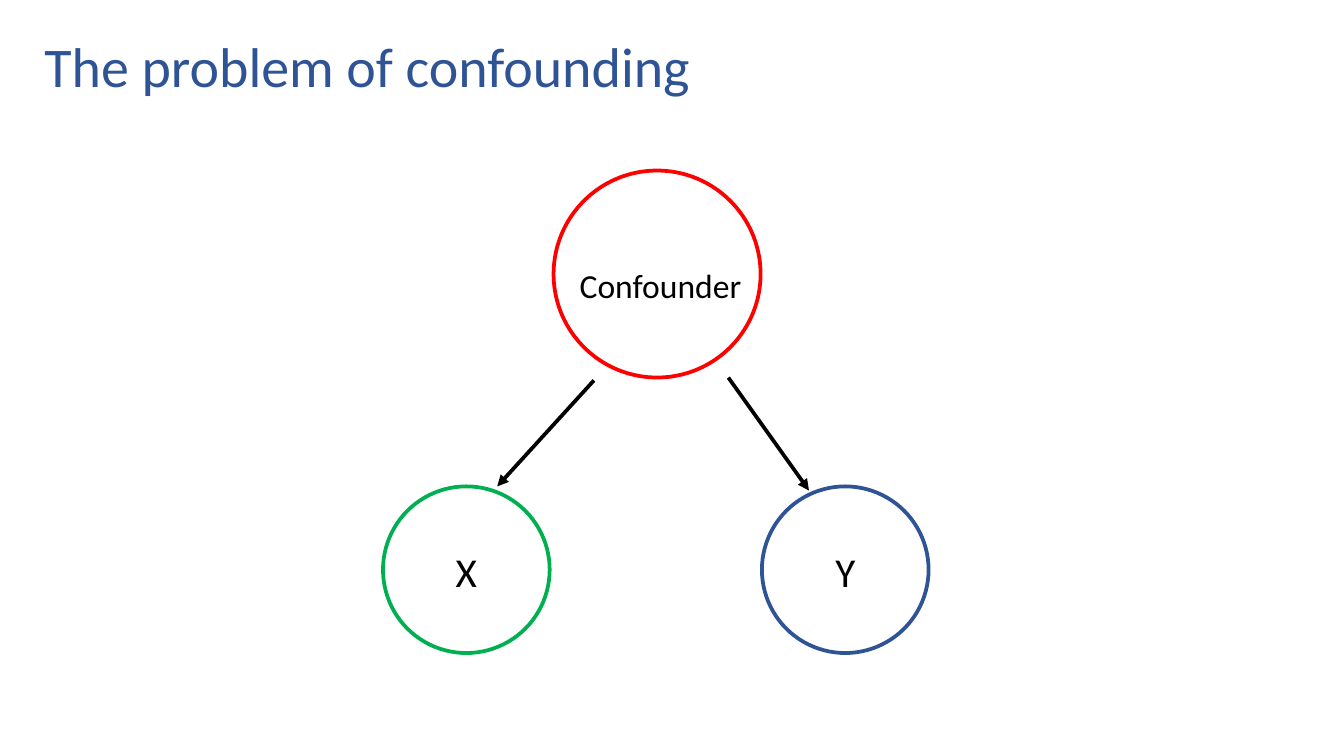
import pptx
import pptx.util
import pptx.dml.color
import pptx.enum.shapes
import pptx.enum.text
import pptx.oxml
import pptx.oxml.ns

Pt = pptx.util.Pt
FONT = "Calibri"
COLORS = {"blue": "2F5496", "green": "00B050", "red": "FF0000", "black": "000000"}

# Content: lengths in points
TITLE = "The problem of confounding"
# label, outline, circle left, top, diameter, label width, height, label offset x, y, size
NODES = [
    ("X", "green", 205.2, 260.6, 89.3, 74.2, 42.5, 0, 3.2, 22),
    ("Y", "blue", 408.2, 260.6, 89.3, 74.2, 42.5, 0, 3.2, 22),
    ("Confounder", "red", 296.6, 91.4, 110.9, 137.5, 31, 1.8, 5.4, 18),
]
ARROWS = [((318.2, 203.8), (266.4, 260.6)), ((390.2, 202.3), (433.4, 262.8))]


def color(name):
    return pptx.dml.color.RGBColor.from_string(COLORS[name])


def write(shape, text, size, ink, align, spacing, inset_x, inset_y):
    frame = shape.text_frame
    frame.word_wrap = True
    frame.auto_size = pptx.enum.text.MSO_AUTO_SIZE.NONE
    frame.vertical_anchor = pptx.enum.text.MSO_ANCHOR.TOP
    frame.margin_left = frame.margin_right = Pt(inset_x)
    frame.margin_top = frame.margin_bottom = Pt(inset_y)
    para = frame.paragraphs[0]
    para.text = text
    para.alignment = align
    para.line_spacing = spacing
    para.space_before = Pt(0)
    para.font.name = FONT
    para.font.size = Pt(size)
    para.font.color.rgb = color(ink)


def add_node(slide, label, outline, left, top, diameter, width, height, dx, dy, size):
    circle = slide.shapes.add_shape(
        pptx.enum.shapes.MSO_SHAPE.OVAL, Pt(left), Pt(top), Pt(diameter), Pt(diameter))
    circle.shadow.inherit = False
    circle.fill.background()
    circle.line.color.rgb = color(outline)
    circle.line.width = Pt(2)
    # Label centred on the circle, then shifted
    box = slide.shapes.add_textbox(
        Pt(left + (diameter - width) / 2 + dx), Pt(top + (diameter - height) / 2 + dy),
        Pt(width), Pt(height))
    write(box, label, size, "black", pptx.enum.text.PP_ALIGN.CENTER, 1.1, 5.04, 2.88)


def add_arrow(slide, start, end):
    arrow = slide.shapes.add_connector(
        pptx.enum.shapes.MSO_CONNECTOR.STRAIGHT, *map(Pt, start + end))
    arrow.line.color.rgb = color("black")
    arrow.line.width = Pt(2)
    head = pptx.oxml.ns.qn("a:tailEnd")
    arrow.line._get_or_add_ln().append(
        pptx.oxml.parse_xml(f'<a:tailEnd {pptx.oxml.ns.nsdecls("a")} type="triangle"/>'))
    arrow._element.spPr.append(
        pptx.oxml.parse_xml(f'<a:effectLst {pptx.oxml.ns.nsdecls("a")}/>'))


def main():
    deck = pptx.Presentation()
    deck.slide_width, deck.slide_height = Pt(720), Pt(405)
    slide = deck.slides.add_slide(deck.slide_layouts[5])

    # Title
    title = slide.shapes.title
    title.left, title.top, title.width, title.height = map(Pt, (16.6, 13.7, 671, 45.4))
    write(title, TITLE, 30, "blue", pptx.enum.text.PP_ALIGN.LEFT, 0.9, 7.2, 7.2)

    # Causal diagram
    for node in NODES:
        add_node(slide, *node)
    for start, end in ARROWS:
        add_arrow(slide, start, end)

    deck.save("out.pptx")


if __name__ == "__main__":
    main()
